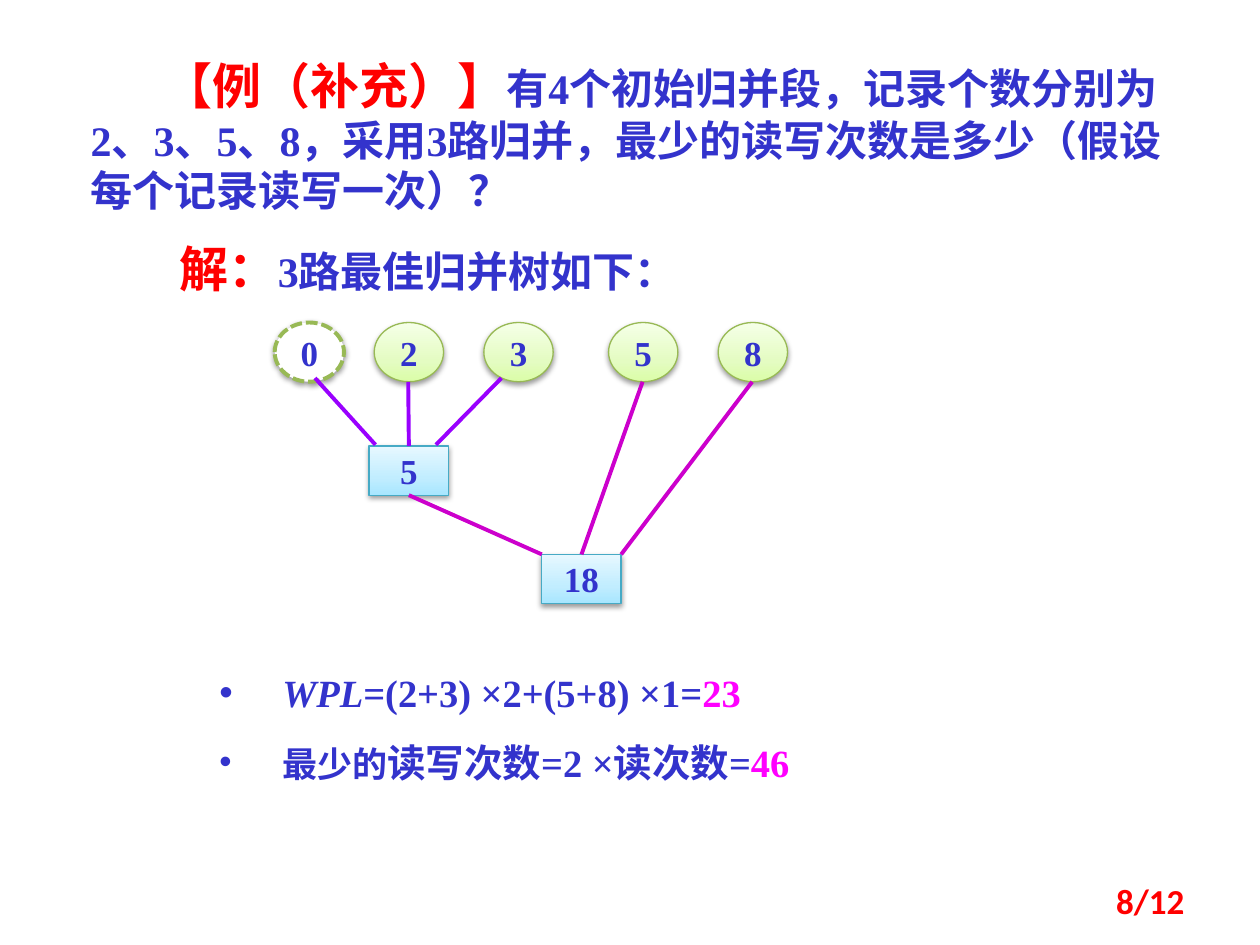
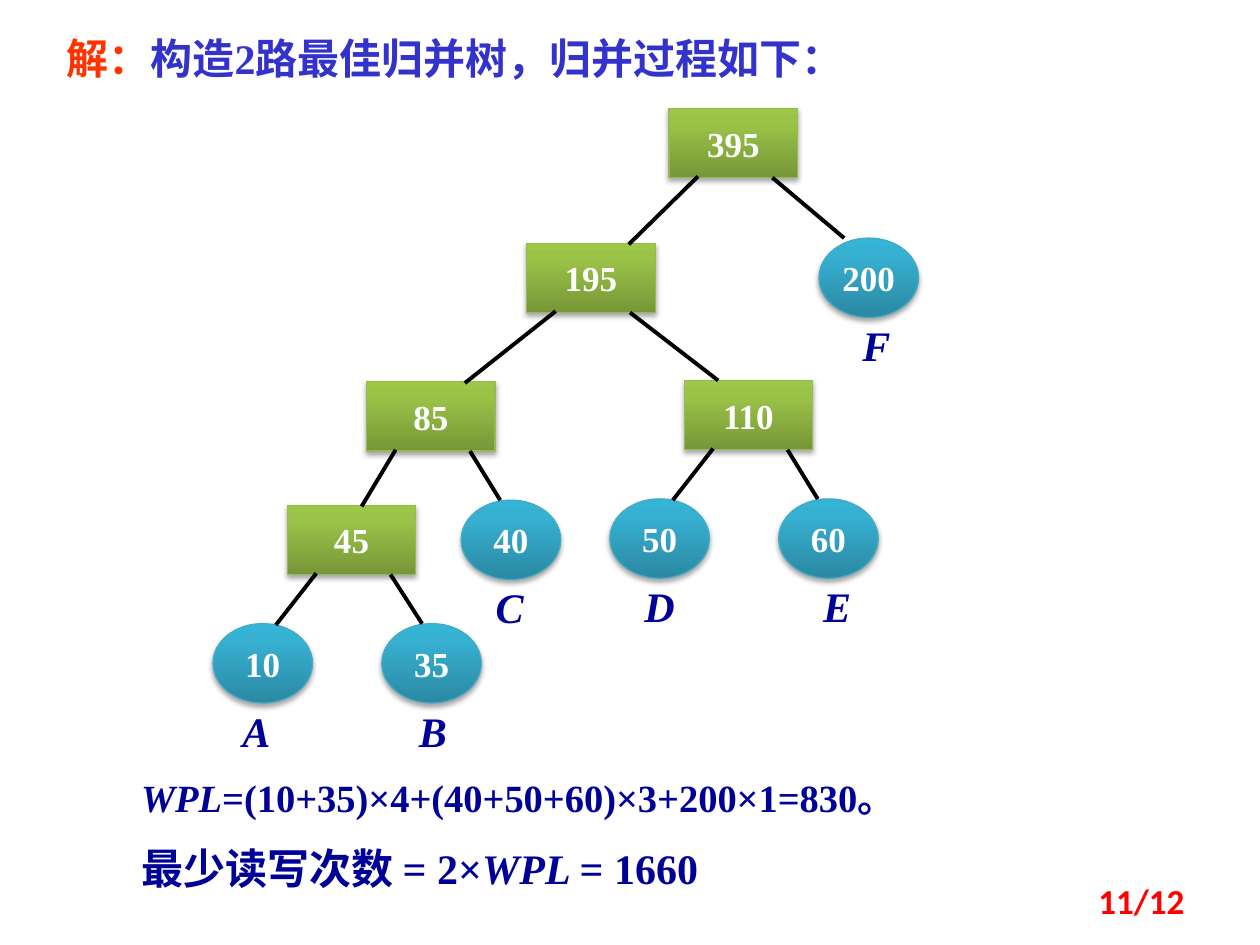
from dataclasses import dataclass
from lxml.etree import SubElement as Sub
from pptx import Presentation
from pptx.dml.color import RGBColor as RGB
from pptx.enum.dml import MSO_LINE as Dash
from pptx.enum.shapes import MSO_CONNECTOR as Conn, MSO_SHAPE as Geom
from pptx.enum.text import MSO_ANCHOR as Anchor, MSO_AUTO_SIZE as Auto, PP_ALIGN as Align
from pptx.oxml.ns import qn
from pptx.util import Inches, Pt


@dataclass(frozen=True)
class Theme:
    serif: str = "Times New Roman"
    sans: str = "Calibri"
    blue: str = "3333CC"
    navy: str = "000099"
    red: str = "FF0000"
    flame: str = "FF3300"
    pink: str = "FF00FF"
    violet: str = "9900FF"
    plum: str = "CC00CC"
    black: str = "000000"
    white: str = "FFFFFF"
    green: str = "98B955"
    teal: str = "46AAC5"
    big: int = 28
    head: int = 24
    calc: int = 22
    node: int = 20


T = Theme()

# Node kinds: shape, size, gradient stops from bottom to top, line, text and shadow
LIGHT = dict(ink=T.blue, shade=(38, 1.6))
DEEP = dict(ink=T.white, shade=(35, 1.8))
LEAF = dict(LIGHT, geom=Geom.OVAL, size=(0.55, 0.47), edge=T.green,
            stops=[(0, "DAFDA7"), (35, "E4FCC2"), (100, "F5FFE7")])
KINDS = {
    "leaf": LEAF,
    "void": dict(LEAF, stops=None),
    "sum": dict(LIGHT, geom=Geom.RECTANGLE, size=(0.63, 0.39), edge=T.teal,
                stops=[(0, "A7E6FF"), (35, "C1EDFF"), (100, "E7F8FF")]),
    "run": dict(DEEP, geom=Geom.OVAL, size=(0.79, 0.63), edge=T.teal,
                stops=[(0, "2A88A2"), (80, "37B1D2"), (100, "34B4D6")]),
    "merge": dict(DEEP, geom=Geom.RECTANGLE, size=(1.02, 0.55), edge=T.green,
                  stops=[(0, "779737"), (80, "9BC348"), (100, "9DC746")]),
}


# Text helpers
def style(font, size, color, **more):
    values = dict(name=T.serif, size=Pt(size), bold=True) | more
    for key, value in values.items():
        setattr(font, key, value)
    font.color.rgb = RGB.from_string(color)


def write(para, runs, **format):
    for key, value in format.items():
        setattr(para, key, value)
    for text, size, color, *slant in runs:
        run = para.add_run()
        run.text = text
        style(run.font, size, color, italic=bool(slant))


def place(shape, box):
    shape.left, shape.top, shape.width, shape.height = map(Inches, box)
    frame = shape.text_frame
    frame.word_wrap, frame.auto_size = True, Auto.NONE
    frame.vertical_anchor = Anchor.TOP
    return frame


def label(slide, box, runs, **format):
    frame = place(slide.shapes.add_textbox(0, 0, 0, 0), box)
    write(frame.paragraphs[0], runs, **format)
    return frame


# Title, body and page number
def title(slide, box, runs, indent=0):
    para = place(slide.shapes.title, box).paragraphs[0]
    para._p.get_or_add_pPr().set("indent", str(Inches(indent)))
    write(para, runs, alignment=Align.LEFT)


def body(slide, box, lines, bullet=False, gap=0, spacing=1.0):
    frame = place(slide.placeholders[1], box)
    margin = Inches(0.5) if bullet else 0
    for i, runs in enumerate(lines):
        para = frame.add_paragraph() if i else frame.paragraphs[0]
        props = para._p.get_or_add_pPr()
        props.set("marL", str(margin))
        props.set("indent", str(-margin))
        if bullet:
            Sub(props, qn("a:buChar"), char="•")
        else:
            Sub(props, qn("a:buNone"))
        write(para, runs, space_before=Pt(gap if i else 0), line_spacing=spacing)


def number(slide, text):
    frame = label(slide, (7.17, 6.95, 2.33, 0.4), [(text, T.node, T.red)],
                  alignment=Align.RIGHT)
    frame.vertical_anchor = Anchor.MIDDLE
    frame.paragraphs[0].runs[0].font.name = T.sans


# Tree parts
def blend(shape, stops):
    shape.fill.gradient()
    grad = shape._element.spPr.find(qn("a:gradFill"))
    for child in list(grad):
        grad.remove(child)
    items = Sub(grad, qn("a:gsLst"))
    for pos, color in stops:
        stop = Sub(items, qn("a:gs"), pos=str(pos * 1000))
        Sub(stop, qn("a:srgbClr"), val=color)
    Sub(grad, qn("a:lin"), ang="16200000", scaled="0")


def shade(shape, alpha, dist):
    shape.shadow.inherit = False
    effects = shape._element.spPr.find(qn("a:effectLst"))
    outer = Sub(effects, qn("a:outerShdw"), blurRad=str(Pt(3.1)), dist=str(Pt(dist)),
                dir="5400000", rotWithShape="0")
    color = Sub(outer, qn("a:srgbClr"), val=T.black)
    Sub(color, qn("a:alpha"), val=str(alpha * 1000))


def node(slide, kind, text, x, y):
    look = KINDS[kind]
    shape = slide.shapes.add_shape(look["geom"], *map(Inches, (x, y, *look["size"])))
    line = shape.line
    line.color.rgb = RGB.from_string(look["edge"])
    line.width = Pt(0.75)
    if look["stops"]:
        blend(shape, look["stops"])
    else:
        shape.fill.solid()
        shape.fill.fore_color.rgb = RGB.from_string(T.white)
        line.width, line.dash_style = Pt(2.25), Dash.SQUARE_DOT
    shade(shape, *look["shade"])
    frame = shape.text_frame
    frame.word_wrap, frame.vertical_anchor = False, Anchor.MIDDLE
    write(frame.paragraphs[0], [(text, T.node, look["ink"])], alignment=Align.CENTER)
    return shape


def link(slide, start, end, color):
    """Each end is (shape, spot): a side number, or an offset from its corner."""
    points = []
    for shape, spot in (start, end):
        dx, dy = (0, 0) if isinstance(spot, int) else spot
        points += [shape.left + Inches(dx), shape.top + Inches(dy)]
    line = slide.shapes.add_connector(Conn.STRAIGHT, *points)
    for join, (shape, spot) in ((line.begin_connect, start), (line.end_connect, end)):
        if isinstance(spot, int):
            join(shape, spot)
    line.line.color.rgb = RGB.from_string(color)
    line.line.width = Pt(2.25)
    Sub(line._element.spPr, qn("a:effectLst"))


def tree(slide, box, nodes, links):
    left, top = box
    shapes = {key: node(slide, kind, text, left + x, top + y)
              for key, kind, text, x, y in nodes}
    for a, start, b, end, color in links:
        link(slide, (shapes[a], start), (shapes[b], end), color)


def three_way(slide, box):
    nodes = [("0", "void", "0", 0, 0)]
    nodes += [(text, "leaf", text, x, 0)
              for text, x in (("2", 0.79), ("3", 1.66), ("5", 2.65), ("8", 3.52))]
    nodes += [("low", "sum", "5", 0.75, 0.98), ("root", "sum", "18", 2.12, 1.84)]
    foot = (0.27, 0.47)
    tree(slide, box, nodes, [
        ("0", (0.32, 0.44), "low", (0.05, -0.01), T.violet),
        ("3", (0.14, 0.44), "low", (0.53, -0.01), T.violet),
        ("2", foot, "low", 0, T.violet),
        ("low", 2, "root", (0, 0), T.plum),
        ("5", foot, "root", 0, T.plum),
        ("8", foot, "root", (0.63, 0), T.plum)])


def two_way(slide, box):
    left, top = box
    merges = [("395", 3.62, 0), ("195", 2.49, 1.07), ("85", 1.22, 2.17),
              ("110", 3.74, 2.16), ("45", 0.59, 3.15)]
    # Runs: count, place, letter and the letter's shift
    runs = [("10", 0, 4.09, "A", 0.11), ("35", 1.34, 4.09, "B", 0.17),
            ("40", 1.97, 3.11, "C", 0.15), ("50", 3.15, 3.1, "D", 0.16),
            ("60", 4.49, 3.1, "E", 0.23), ("200", 4.81, 1.03, "F", 0.22)]
    # Parent with its left and right child, and where the line meets each
    pairs = [("395", "195", 0.81, "200", 0.2), ("195", "85", 0.78, "110", 0.27),
             ("85", "45", 0.59, "40", 0.31), ("110", "50", 0.5, "60", 0.31),
             ("45", "10", 0.5, "35", 0.32)]
    nodes = [(text, "merge", text, x, y) for text, x, y in merges]
    nodes += [(text, "run", text, x, y) for text, x, y, *_ in runs]
    links = []
    for up, one, a, two, b in pairs:
        links += [(up, (0.23, 0.54), one, (a, 0.01), T.black),
                  (up, (0.82, 0.55), two, (b, 0), T.black)]
    tree(slide, box, nodes, links)
    for _, x, y, letter, shift in runs:
        label(slide, (left + x + shift, top + y + 0.6, 0.47, 0.5),
              [(letter, T.head, T.navy, True)], alignment=Align.CENTER)


# Slides
def example(slide):
    title(slide, (0.62, 0.39, 8.98, 1.38), [
        ("【例（补充）】", T.big, T.red),
        ("有4个初始归并段，记录个数分别为2、3、5、8，采用3路归并，"
         "最少的读写次数是多少（假设每个记录读写一次）？", T.head, T.blue)], indent=0.58)
    label(slide, (1.33, 1.84, 4.92, 0.57), [
        ("解：", T.big, T.red), ("3路最佳归并树如下：", T.head, T.blue)])
    three_way(slide, (2.18, 2.56))
    body(slide, (1.64, 5.08, 6.72, 1.21), [
        [("WPL", T.calc, T.blue, True), ("=(2+3) ×2+(5+8) ×1=", T.calc, T.blue),
         ("23", T.calc, T.pink)],
        [("最少的", T.node, T.blue), ("读写次数=2 ×读次数=", T.calc, T.blue),
         ("46", T.calc, T.pink)]], bullet=True, spacing=1.5)
    number(slide, "8/12")


def solution(slide):
    title(slide, (0.43, 0.21, 6.83, 0.5), [
        ("解：", T.head, T.flame),
        ("构造2路最佳归并树，归并过程如下：", T.head, T.blue)])
    two_way(slide, (1.69, 0.86))
    body(slide, (1.02, 6.09, 7.27, 1.05), [
        [("WPL", T.calc, T.navy, True),
         ("=(10+35)×4+(40+50+60)×3+200×1=830。", T.calc, T.navy)],
        [("最少读写次数 = 2×", T.head, T.navy), ("WPL ", T.head, T.navy, True),
         ("= 1660", T.head, T.navy)]], gap=13)
    number(slide, "11/12")


def main():
    deck = Presentation()
    deck.slide_width, deck.slide_height = Inches(10), Inches(7.5)
    for build in (example, solution):
        build(deck.slides.add_slide(deck.slide_layouts[1]))
    deck.save("out.pptx")


if __name__ == "__main__":
    main()
